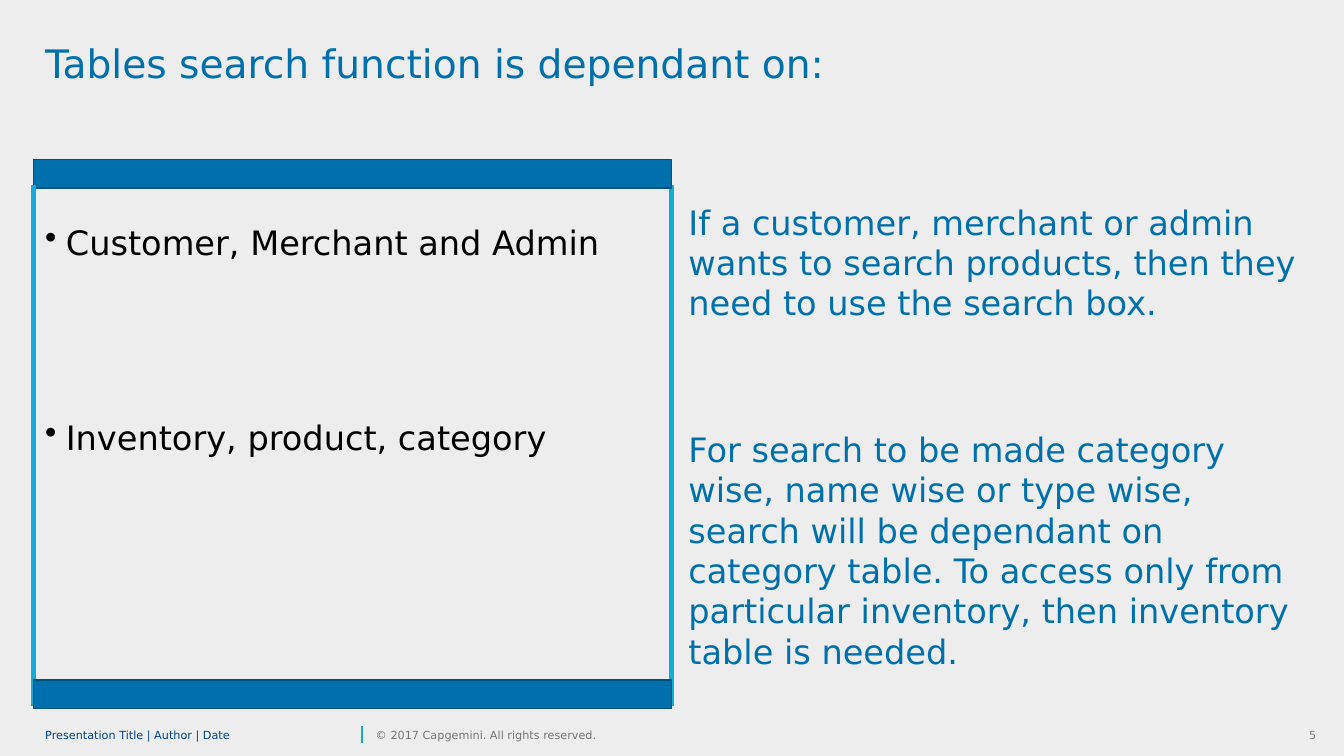
from lxml import etree
from pptx import Presentation
from pptx.dml.color import RGBColor
from pptx.enum.shapes import MSO_CONNECTOR, MSO_SHAPE
from pptx.enum.text import MSO_ANCHOR, MSO_AUTO_SIZE, PP_ALIGN
from pptx.oxml.ns import qn
from pptx.util import Cm, Pt

LINE = MSO_CONNECTOR.STRAIGHT
RECT = MSO_SHAPE.RECTANGLE
TOP, MID = MSO_ANCHOR.TOP, MSO_ANCHOR.MIDDLE
LEFT, RIGHT = PP_ALIGN.LEFT, PP_ALIGN.RIGHT
FIXED = MSO_AUTO_SIZE.NONE

BLUE, CYAN, EDGE = "0070AD", "12ABDB", "005380"
GRAY, BLACK = "EDEDED", "000000"


def rgb(code):
    return RGBColor.from_string(code)


class Page:
    font = "DejaVu Sans"

    def __init__(self, deck):
        self.slide = deck.slides.add_slide(deck.slide_layouts[5])
        self.shapes = self.slide.shapes
        fill = self.slide.background.fill
        fill.solid()
        fill.fore_color.rgb = rgb(GRAY)

    def style(self, frame, size, color, align=LEFT, anchor=TOP):
        frame.word_wrap = True
        frame.auto_size = FIXED
        frame.vertical_anchor = anchor
        frame.margin_left = frame.margin_right = 0
        frame.margin_top = frame.margin_bottom = 0
        for para in frame.paragraphs:
            para.alignment = align
            for run in para.runs:
                run.font.name = self.font
                run.font.size = Pt(size)
                run.font.color.rgb = rgb(color)

    def title(self, text, x, y, w, h):
        head = self.shapes.title
        head.left, head.top, head.width, head.height = map(Cm, (x, y, w, h))
        head.text_frame.text = text
        head.text_frame.paragraphs[0].line_spacing = 0.9
        self.style(head.text_frame, 28, BLUE)

    def text(self, text, x, y, w, h, size, color, **kind):
        frame = self.shapes.add_textbox(*map(Cm, (x, y, w, h))).text_frame
        frame.text = text
        self.style(frame, size, color, **kind)
        return frame

    def body(self, items, x, y, w, h, color, gap, bullet=False):
        """Add large paragraphs, with gap points between them."""
        frame = self.text("\n".join(items), x, y, w, h, 24, color)
        for num, para in enumerate(frame.paragraphs):
            if num:
                para.space_before = Pt(gap)
            if bullet:
                props = para._p.get_or_add_pPr()
                props.set("marL", str(Cm(0.52)))
                props.set("indent", str(-Cm(0.52)))
                etree.SubElement(props, qn("a:buChar")).set("char", "•")

    def bar(self, x, y, w, h):
        box = self.shapes.add_shape(RECT, *map(Cm, (x, y, w, h)))
        box.shadow.inherit = False
        box.fill.solid()
        box.fill.fore_color.rgb = rgb(BLUE)
        box.line.color.rgb = rgb(EDGE)
        box.line.width = Pt(1)

    def rule(self, x, top, end, width):
        """Add an upright line."""
        line = self.shapes.add_connector(LINE, *map(Cm, (x, end, x, top)))
        line.line.color.rgb = rgb(CYAN)
        line.line.width = Pt(width)
        etree.SubElement(line._element.spPr, qn("a:effectLst"))


def main():
    deck = Presentation()
    deck.slide_width, deck.slide_height = Cm(33.87), Cm(19.05)
    page = Page(deck)

    page.rule(9.12, 18.29, 18.72, 1)
    for text, x, w, color, align in (
        ("Presentation Title | Author | Date", 1.14, 7.85, "00458D", LEFT),
        ("© 2017 Capgemini. All rights reserved.", 9.47, 6.17, "767676", LEFT),
        ("5", 32.2, 0.97, "808080", RIGHT),
    ):
        page.text(text, x, 18.21, w, 0.61, 8, color, align=align, anchor=MID)

    page.title("Tables search function is dependant on:", 1.14, 1.12, 31.24, 3.12)
    page.body(
        ("Customer, Merchant and Admin", "Inventory, product, category"),
        1.14, 5.59, 15.39, 12.34, BLACK, 110.5, bullet=True,
    )
    page.body(
        (
            "If a customer, merchant or admin wants to search products, "
            "then they need to use the search box.",
            "For search to be made category wise, name wise or type wise, "
            "search will be dependant on category table. To access only from "
            "particular inventory, then inventory table is needed.",
        ),
        17.35, 5.08, 15.7, 13.06, BLUE, 76,
    )

    for x, y in ((16.93, 4.02), (0.84, 17.14)):
        page.rule(x, 4.65, 17.78, 3.75)
        page.bar(0.84, y, 16.08, 0.72)

    deck.save("out.pptx")


if __name__ == "__main__":
    main()
